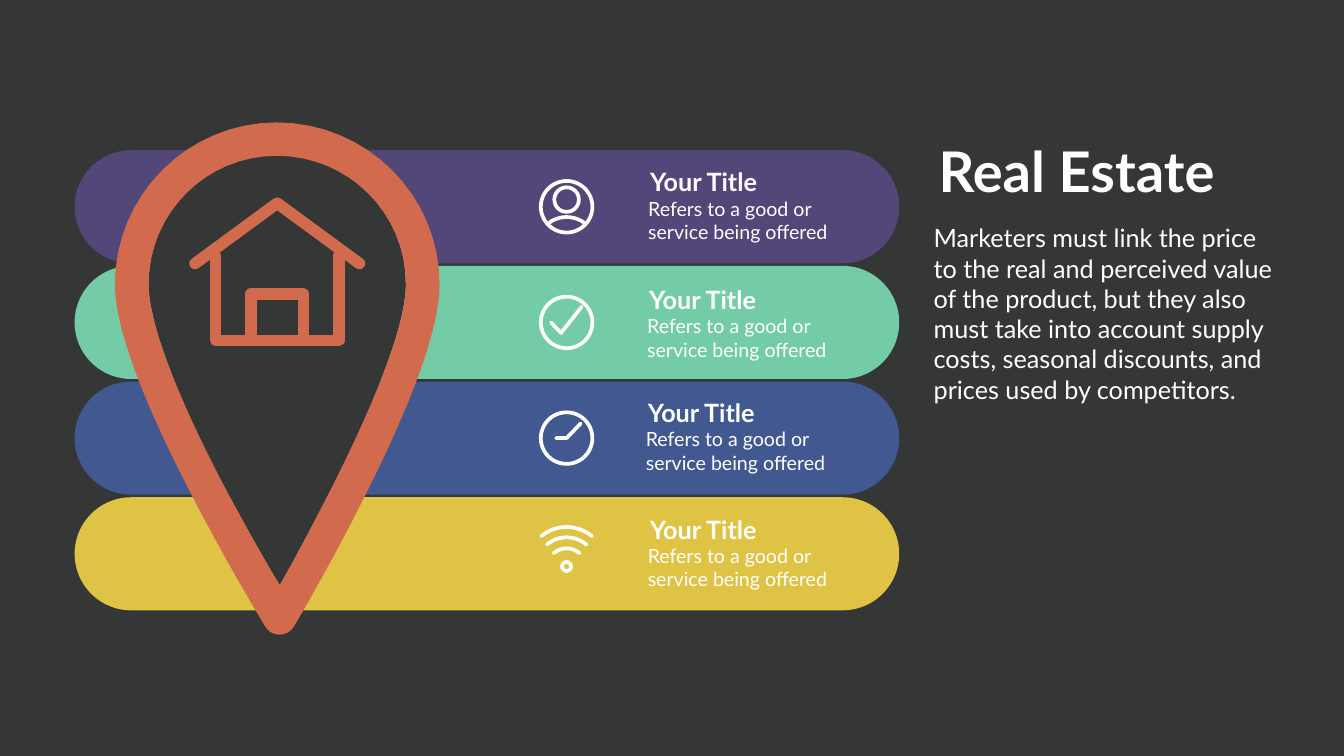
from lxml.etree import SubElement
from pptx import Presentation
from pptx.dml.color import RGBColor
from pptx.enum.shapes import MSO_SHAPE as Kind
from pptx.enum.text import MSO_ANCHOR as Anchor, MSO_AUTO_SIZE as Fit, PP_ALIGN as Align
from pptx.oxml.ns import qn
from pptx.util import Cm, Pt

DARK = RGBColor(0x35, 0x37, 0x37)
WHITE = RGBColor(0xFF, 0xFF, 0xFF)
PLAIN = RGBColor(0xFE, 0xFF, 0xFF)
CORAL = RGBColor(0xD2, 0x6B, 0x4E)
PLUM = RGBColor(0x53, 0x46, 0x79)
MINT = RGBColor(0x73, 0xCC, 0xA5)
BLUE = RGBColor(0x42, 0x58, 0x91)
GOLD = RGBColor(0xDE, 0xC3, 0x45)

OUTER = [
    (14.1, 31.98),
    (13.79, 31.98), (13.54, 31.85), (13.36, 31.57),
    (13.36, 31.55), (11.48, 28.5), (9.63, 24.89),
    (7.09, 19.99), (5.79, 16.43), (5.79, 14.33),
    (5.79, 9.83), (9.47, 6.17), (13.94, 6.17),
    (18.47, 6.17), (22.15, 9.83), (22.15, 14.33),
    (22.15, 16.43), (20.9, 19.99), (18.44, 24.89),
    (16.64, 28.5), (14.83, 31.55), (14.81, 31.57),
    (14.66, 31.83), (14.38, 31.98), (14.1, 31.98),
]
INNER = [
    (13.94, 7.85),
    (10.39, 7.85), (7.49, 10.74), (7.49, 14.33),
    (7.49, 15.6), (8.1, 18.31), (11.1, 24.13),
    (12.24, 26.29), (13.36, 28.3), (14.1, 29.49),
    (14.78, 28.3), (15.85, 26.31), (16.94, 24.13),
    (19.84, 18.31), (20.45, 15.6), (20.45, 14.33),
    (20.45, 10.74), (17.55, 7.85), (13.94, 7.85),
]
ROOF = [(9.83, 13.28), (13.97, 10.24), (18.11, 13.28)]
WALLS = [(10.87, 12.9), (10.87, 17.15), (17.07, 17.15), (17.07, 12.9)]
DOOR = [(12.65, 17.15), (12.65, 14.81), (15.29, 14.81), (15.29, 17.15)]


def bend(knots, steps=16):
    curve = [knots[0]]
    for i in range(0, len(knots) - 1, 3):
        quad = knots[i:i + 4]
        for k in range(1, steps + 1):
            t = k / steps
            u = 1 - t
            mix = (u ** 3, 3 * u * u * t, 3 * u * t * t, t ** 3)
            curve.append(tuple(sum(m * p[a] for m, p in zip(mix, quad)) for a in (0, 1)))
    return curve


def arch(x, y, half, rise):
    top = y - rise * 4 / 3
    return bend([(x - half, y), (x - half * 0.4, top), (x + half * 0.4, top), (x + half, y)])


class Board:
    font = "Lato"
    thin = 5.3
    thick = 16.5

    def __init__(self, slide):
        self.slide = slide
        self.shapes = slide.shapes
        slide.background.fill.solid()
        slide.background.fill.fore_color.rgb = DARK

    def paint(self, shape, color):
        shape.shadow.inherit = False
        shape.fill.solid()
        shape.fill.fore_color.rgb = color
        shape.line.fill.background()

    def ink(self, shape, color, width):
        shape.shadow.inherit = False
        shape.fill.background()
        shape.line.color.rgb = color
        shape.line.width = Pt(width)
        edge = shape.element.spPr.find(qn("a:ln"))
        edge.set("cap", "rnd")
        SubElement(edge, qn("a:round"))

    def trace(self, lines, close):
        lines = [[(Cm(x), Cm(y)) for x, y in line] for line in lines]
        pen = self.shapes.build_freeform(*lines[0][0])
        for i, line in enumerate(lines):
            if i:
                pen.move_to(*line[0])
            pen.add_line_segments(line[1:], close=close)
        return pen.convert_to_shape()

    def area(self, color, *lines):
        self.paint(self.trace(lines, True), color)

    def stroke(self, color, width, *lines):
        self.ink(self.trace(lines, False), color, width)

    def bar(self, x, y, w, h, color):
        shape = self.shapes.add_shape(Kind.ROUNDED_RECTANGLE, Cm(x), Cm(y), Cm(w), Cm(h))
        shape.adjustments[0] = 0.5
        self.paint(shape, color)

    def ring(self, x, y, size):
        shape = self.shapes.add_shape(
            Kind.OVAL, Cm(x - size / 2), Cm(y - size / 2), Cm(size), Cm(size))
        self.ink(shape, WHITE, self.thin)

    def put(self, box, lines, size, color, bold=False, align=Align.LEFT):
        frame = box.text_frame
        frame.word_wrap = True
        frame.auto_size = Fit.NONE
        frame.vertical_anchor = Anchor.TOP
        frame.text = "\n".join(lines)
        for para in frame.paragraphs:
            props = para._p.get_or_add_pPr()
            props.set("marL", "0")
            props.set("indent", "0")
            SubElement(props, qn("a:buNone"))
            para.alignment = align
            para.space_before = Pt(0)
            for run in para.runs:
                font = run.font
                font.name, font.size, font.bold = self.font, Pt(size), bold
                font.color.rgb = color

    def text(self, x, y, w, h, lines, size, bold=False):
        box = self.shapes.add_textbox(Cm(x), Cm(y), Cm(w), Cm(h))
        self.put(box, lines, size, WHITE, bold)

    def hold(self, box, x, y, w, h, words, size, bold=False, align=Align.LEFT):
        box.left, box.top, box.width, box.height = Cm(x), Cm(y), Cm(w), Cm(h)
        self.put(box, [words], size, PLAIN, bold, align)

    def user(self, x, y):
        self.ring(x, y, 2.6)
        self.ring(x, y - 0.36, 1.24)
        self.stroke(WHITE, self.thin, arch(x, y + 0.79, 0.86, 0.27))

    def check(self, x, y):
        self.ring(x, y, 2.6)
        self.stroke(WHITE, self.thin,
                    [(x - 0.79, y), (x - 0.28, y + 0.53), (x + 0.76, y - 0.79)])

    def clock(self, x, y):
        self.ring(x, y, 2.6)
        self.stroke(WHITE, self.thin, [(x - 0.53, y), (x, y), (x + 0.71, y - 0.74)])

    def wifi(self, x, y):
        for drop, half, rise in ((-0.89, 1.28, 0.46), (-0.46, 1, 0.37), (-0.03, 0.65, 0.24)):
            self.stroke(WHITE, self.thin, arch(x, y + drop, half, rise))
        self.ring(x, y + 0.64, 0.46)


def main():
    deck = Presentation()
    deck.slide_width, deck.slide_height = Cm(67.72), Cm(38.1)
    board = Board(deck.slides.add_slide(deck.slide_layouts[1]))
    head, body = board.slide.placeholders

    board.hold(head, 46.81, 6.76, 14.88, 3.68, "Real Estate", 80, True, Align.CENTER)
    board.hold(body, 46.79, 11.1, 17.81, 9.27,
               "Marketers must link the price to the real and perceived value of the "
               "product, but they also must take into account supply costs, seasonal "
               "discounts, and prices used by competitors.", 36)

    left, top, wide, high, step = 3.76, 7.57, 41.55, 5.7, 5.83
    rows = [
        (PLUM, board.user, 32.51, 8.28),
        (MINT, board.check, 32.46, 14.2),
        (BLUE, board.clock, 32.39, 19.91),
        (GOLD, board.wifi, 32.49, 25.78),
    ]
    for i, (color, icon, x, y) in enumerate(rows):
        row = top + i * step
        board.bar(left, row, wide, high, color)
        icon(28.55, row + high / 2)
        board.text(x, y, 6.45, 1.3, ["Your Title"], 36, True)
        board.text(x - 0.1, y + 1.5, 9.96, 2.57,
                   ["Refers to a good or", "service being offered"], 28)

    pin, hole = bend(OUTER), bend(INNER)
    board.area(DARK, hole)
    board.area(CORAL, pin, hole)
    board.stroke(CORAL, board.thick, ROOF, WALLS, DOOR)
    deck.save("out.pptx")


if __name__ == "__main__":
    main()
